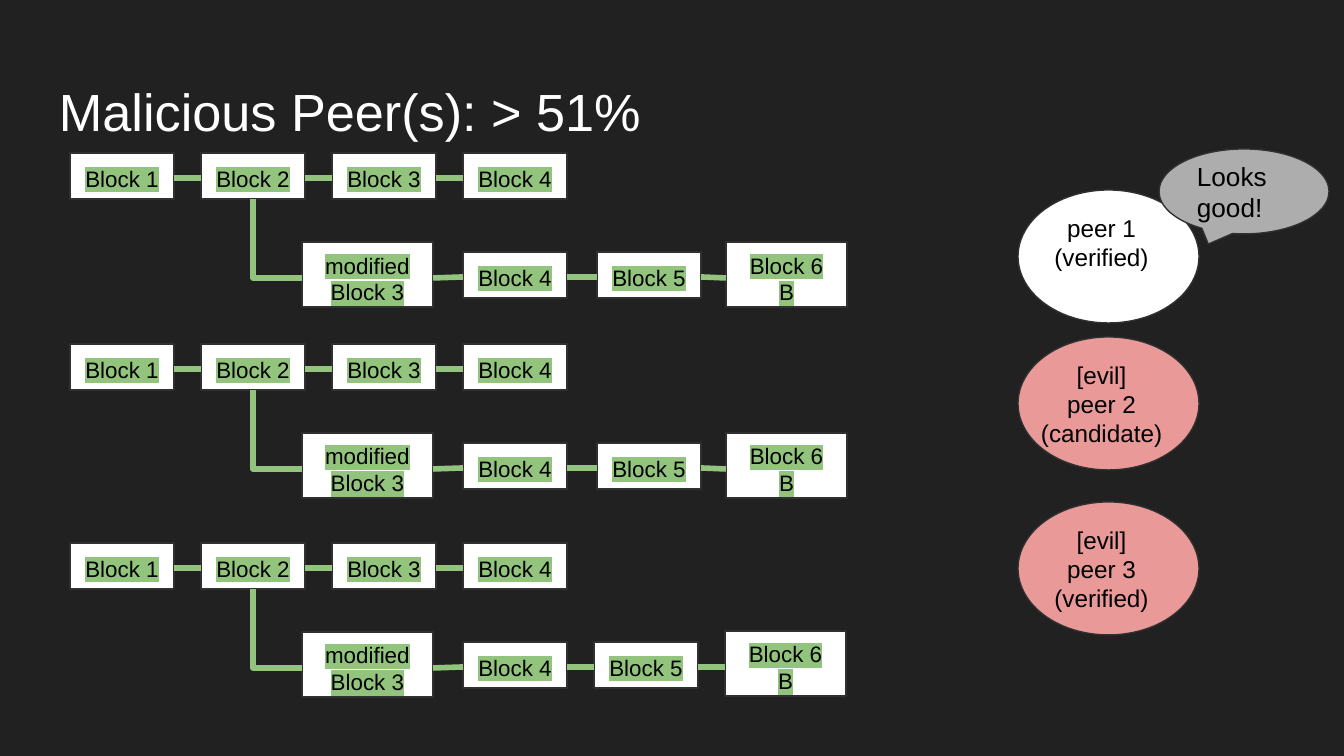
from dataclasses import dataclass
from itertools import pairwise

from lxml.etree import SubElement
from pptx import Presentation
from pptx.dml.color import RGBColor
from pptx.enum.shapes import MSO_CONNECTOR, MSO_SHAPE
from pptx.enum.text import MSO_ANCHOR, PP_ALIGN
from pptx.oxml.ns import qn
from pptx.util import Emu, Pt


@dataclass(frozen=True)
class Theme:
    font: str = "Arial"
    background: str = "212121"
    outline: str = "303030"
    light: str = "FFFFFF"
    dark: str = "000000"
    evil: str = "EA9999"
    speech: str = "ADADAD"
    chain: str = "93C47D"
    title_size: int = 28
    speech_size: int = 14
    peer_size: int = 13
    block_size: int = 12
    outline_width: float = 0.75
    chain_width: int = 3


@dataclass(frozen=True)
class Box:
    left: int
    top: int
    width: int
    height: int

    def emu(self) -> list[Emu]:
        return [px(self.left), px(self.top), px(self.width), px(self.height)]


@dataclass(frozen=True)
class Block:
    lines: tuple[str, ...]
    box: Box

    @property
    def label(self) -> Box:
        offset, height = (19, 13) if len(self.lines) == 1 else (27, 19)
        return Box(self.box.left, self.box.top + offset, self.box.width, height)

    @property
    def link_y(self) -> int:
        return self.label.top + self.label.height // 2


@dataclass(frozen=True)
class Peer:
    lines: tuple[str, ...]
    top: int
    fill: str


@dataclass(frozen=True)
class Ledger:
    top: int
    fifth_left: int = 597
    sixth_left: int = 726
    sixth_offset: int = 89


THEME = Theme()
EMU_PER_PX = 914400 / 134.4
SLIDE = Box(0, 0, 1344, 756)
INSET = 13
BLOCK_WIDTH, BLOCK_HEIGHT, TALL_HEIGHT = 104, 46, 65
CHAIN_LEFT, CHAIN_STEP = 70, 131
FORK_OFFSET, FORK_BLOCK_OFFSET = 89, 99

LEDGERS = (
    Ledger(543, fifth_left=594, sixth_left=725, sixth_offset=88),
    Ledger(344),
    Ledger(153),
)
PEERS = (
    Peer(("peer 1", "(verified)"), 190, THEME.light),
    Peer(("[evil]", "peer 2", "(candidate)"), 337, THEME.evil),
    Peer(("[evil]", "peer 3", "(verified)"), 502, THEME.evil),
)


def px(length: int) -> Emu:
    return Emu(round(length * EMU_PER_PX))


def write_text(shape, lines: tuple[str, ...], size: int, color: str = THEME.dark,
               align: PP_ALIGN = PP_ALIGN.CENTER, anchor: MSO_ANCHOR = MSO_ANCHOR.TOP,
               highlight: str | None = None) -> None:
    frame = shape.text_frame
    frame.word_wrap = True
    frame.vertical_anchor = anchor
    frame.margin_left = frame.margin_right = px(INSET)
    frame.margin_top = frame.margin_bottom = px(INSET)
    frame.text = "\n".join(lines)
    for paragraph in frame.paragraphs:
        paragraph.alignment = align
        paragraph.font.name = THEME.font
        paragraph.font.size = Pt(size)
        paragraph.font.color.rgb = RGBColor.from_string(color)
        if highlight:
            properties = paragraph.runs[0]._r.get_or_add_rPr()
            mark = SubElement(properties, qn("a:highlight"))
            SubElement(mark, qn("a:srgbClr")).set("val", highlight)


def draw_shape(shapes, kind: MSO_SHAPE, box: Box, fill: str):
    shape = shapes.add_shape(kind, *box.emu())
    shape.shadow.inherit = False
    shape.fill.solid()
    shape.fill.fore_color.rgb = RGBColor.from_string(fill)
    shape.line.color.rgb = RGBColor.from_string(THEME.outline)
    shape.line.width = Pt(THEME.outline_width)
    return shape


def draw_connector(slide, kind: MSO_CONNECTOR, start: tuple[int, int], end: tuple[int, int]):
    connector = slide.shapes.add_connector(kind, *map(px, start + end))
    connector.line.color.rgb = RGBColor.from_string(THEME.chain)
    connector.line.width = Pt(THEME.chain_width)
    SubElement(connector._element.spPr, qn("a:effectLst"))
    return connector


def draw_fork(slide, parent: Block, child: Block) -> None:
    start = (parent.box.left + parent.box.width // 2, parent.box.top + parent.box.height)
    connector = draw_connector(slide, MSO_CONNECTOR.ELBOW, start, (child.box.left, child.link_y))
    properties = connector._element.spPr
    properties.find(qn("a:prstGeom")).set("prst", "bentConnector2")
    properties.find(qn("a:xfrm")).set("rot", "10800000")


def draw_block(slide, block: Block) -> None:
    group = slide.shapes.add_group_shape()
    draw_shape(group.shapes, MSO_SHAPE.RECTANGLE, block.box, THEME.light)
    label = group.shapes.add_textbox(*block.label.emu())
    write_text(label, block.lines, THEME.block_size, anchor=MSO_ANCHOR.MIDDLE,
               highlight=THEME.chain)


def draw_chain(slide, blocks: list[Block]) -> None:
    for block in blocks:
        draw_block(slide, block)
    for before, after in pairwise(blocks):
        draw_connector(slide, MSO_CONNECTOR.STRAIGHT,
                       (before.box.left + before.box.width, before.link_y),
                       (after.box.left, after.link_y))


def draw_ledger(slide, ledger: Ledger) -> None:
    lefts = [CHAIN_LEFT + CHAIN_STEP * index for index in range(4)]
    honest = [Block((f"Block {number}",), Box(left, ledger.top, BLOCK_WIDTH, BLOCK_HEIGHT))
              for number, left in enumerate(lefts, start=1)]
    fork_top = ledger.top + FORK_BLOCK_OFFSET
    forged = [
        Block(("modified", "Block 3"), Box(302, ledger.top + FORK_OFFSET, 131, TALL_HEIGHT)),
        Block(("Block 4",), Box(lefts[3], fork_top, BLOCK_WIDTH, BLOCK_HEIGHT)),
        Block(("Block 5",), Box(ledger.fifth_left, fork_top, BLOCK_WIDTH, BLOCK_HEIGHT)),
        Block(("Block 6", "B"),
              Box(ledger.sixth_left, ledger.top + ledger.sixth_offset, 121, TALL_HEIGHT)),
    ]
    draw_chain(slide, honest)
    draw_chain(slide, forged)
    draw_fork(slide, honest[1], forged[0])


def draw_peer(slide, peer: Peer) -> None:
    group = slide.shapes.add_group_shape()
    draw_shape(group.shapes, MSO_SHAPE.OVAL, Box(1018, peer.top, 181, 133), peer.fill)
    label = group.shapes.add_textbox(
        *Box(1025, peer.top + 10, 153, 28 + 29 * len(peer.lines)).emu())
    write_text(label, peer.lines, THEME.peer_size)


def main() -> None:
    """Build the slide on a majority of malicious peers."""
    presentation = Presentation()
    presentation.slide_width, presentation.slide_height = px(SLIDE.width), px(SLIDE.height)
    slide = presentation.slides.add_slide(presentation.slide_layouts[6])
    slide.background.fill.solid()
    slide.background.fill.fore_color.rgb = RGBColor.from_string(THEME.background)

    title = slide.shapes.add_textbox(*Box(46, 66, 1253, 85).emu())
    write_text(title, ("Malicious Peer(s): > 51%",), THEME.title_size, THEME.light, PP_ALIGN.LEFT)
    for peer in PEERS:
        draw_peer(slide, peer)
    for ledger in LEDGERS:
        draw_ledger(slide, ledger)
    speech = draw_shape(slide.shapes, MSO_SHAPE.OVAL_CALLOUT, Box(1159, 149, 170, 85), THEME.speech)
    speech.adjustments[0], speech.adjustments[1] = -0.21, 0.62
    write_text(speech, ("Looks good!",), THEME.speech_size, align=PP_ALIGN.LEFT,
               anchor=MSO_ANCHOR.MIDDLE)
    presentation.save("out.pptx")


if __name__ == "__main__":
    main()
